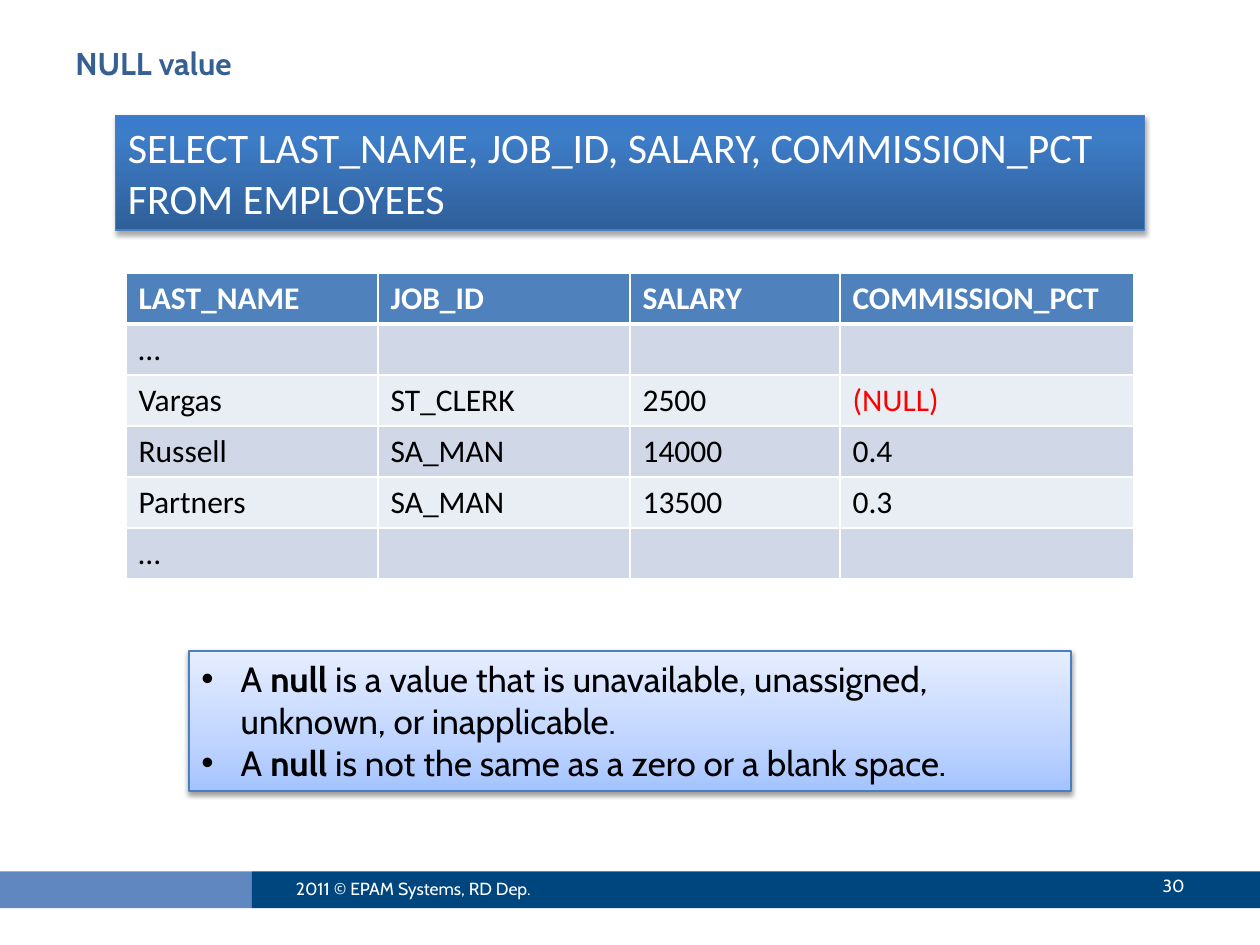
from copy import deepcopy
from lxml.etree import SubElement
from pptx import Presentation
from pptx.dml.color import RGBColor
from pptx.enum.shapes import MSO_SHAPE
from pptx.enum.text import MSO_ANCHOR, PP_ALIGN
from pptx.oxml.ns import qn
from pptx.util import Pt

WHITE = RGBColor(255, 255, 255)
BLACK = RGBColor(0, 0, 0)
RED = RGBColor(255, 0, 0)
TITLE = RGBColor(0x37, 0x60, 0x92)
LIGHT_BAR = RGBColor(0x60, 0x87, 0xBF)
DARK_BAR = RGBColor(0x00, 0x46, 0x7E)
HEADER = RGBColor(0x4F, 0x81, 0xBD)
BANDS = (RGBColor(0xD0, 0xD8, 0xE8), RGBColor(0xE9, 0xED, 0xF4))
OUTLINE = RGBColor(0x4B, 0x7E, 0xBC)
QUERY_STOPS = ((0, RGBColor(0x2F, 0x5F, 0x99)), (0.8, RGBColor(0x3D, 0x7C, 0xC7)),
               (1, RGBColor(0x3A, 0x7C, 0xCB)))
NOTE_STOPS = ((0, RGBColor(0xA4, 0xC4, 0xFF)), (0.35, RGBColor(0xBF, 0xD4, 0xFF)),
              (1, RGBColor(0xE6, 0xEE, 0xFF)))

QUERY = "SELECT LAST_NAME, JOB_ID, SALARY, COMMISSION_PCT FROM EMPLOYEES"
ROWS = (
    ("LAST_NAME", "JOB_ID", "SALARY", "COMMISSION_PCT"),
    ("…", "", "", ""),
    ("Vargas", "ST_CLERK", "2500", "(NULL)"),
    ("Russell", "SA_MAN", "14000", "0.4"),
    ("Partners", "SA_MAN", "13500", "0.3"),
    ("…", "", "", ""),
)
NOTES = (
    ("A ", "null", " is a value that is unavailable, unassigned, unknown, or inapplicable."),
    ("A ", "null", " is not the same as a zero or a blank space."),
)


def style(r, size, color, name="Cabin", bold=False):
    """Set the font of one run."""
    r.font.name, r.font.size, r.font.bold = name, Pt(size), bold
    r.font.color.rgb = color


def add_label(s, x, y, w, h, text, size, color, bold=False,
              anchor=MSO_ANCHOR.MIDDLE, align=PP_ALIGN.LEFT):
    """Place a one-line text box."""
    tf = s.shapes.add_textbox(Pt(x), Pt(y), Pt(w), Pt(h)).text_frame
    tf.word_wrap = True
    tf.vertical_anchor = anchor
    tf.text = text
    p = tf.paragraphs[0]
    p.alignment = align
    style(p.runs[0], size, color, bold=bold)


def add_bar(s, x, y, w, h, color):
    """Place a plain filled rectangle."""
    sp = s.shapes.add_shape(MSO_SHAPE.RECTANGLE, Pt(x), Pt(y), Pt(w), Pt(h))
    sp.shadow.inherit = False
    sp.fill.solid()
    sp.fill.fore_color.rgb = color
    sp.line.fill.background()


def add_panel(s, x, y, w, h, stops, opacity):
    """Place a gradient box with a soft shadow and return its text frame."""
    sp = s.shapes.add_shape(MSO_SHAPE.RECTANGLE, Pt(x), Pt(y), Pt(w), Pt(h))
    sp.fill.gradient()
    sp.fill.gradient_angle = 90
    stop_list = sp.element.spPr.find(".//" + qn("a:gsLst"))
    stop_list.append(deepcopy(stop_list[-1]))
    for stop, (position, color) in zip(sp.fill.gradient_stops, stops):
        stop.position = position
        stop.color.rgb = color
    sp.line.color.rgb = OUTLINE
    sp.line.width = Pt(0.75)
    sp.shadow.inherit = False
    shadow = SubElement(sp.element.spPr.find(qn("a:effectLst")), qn("a:outerShdw"),
                        blurRad=str(Pt(3.1)), dist=str(Pt(1.7)), dir="5400000", rotWithShape="0")
    color = SubElement(shadow, qn("a:srgbClr"), val="000000")
    SubElement(color, qn("a:alpha"), val=str(opacity * 1000))
    tf = sp.text_frame
    tf.word_wrap = True
    tf.vertical_anchor = MSO_ANCHOR.TOP
    return tf


def add_query(s, x, y, w, h):
    """Place the query box."""
    tf = add_panel(s, x, y, w, h, QUERY_STOPS, 35)
    tf.text = QUERY
    p = tf.paragraphs[0]
    p.alignment = PP_ALIGN.LEFT
    style(p.runs[0], 24, WHITE, "Calibri")


def set_borders(cell, top, bottom):
    """Draw white borders round a table cell."""
    tc_pr = cell._tc.get_or_add_tcPr()
    for side, width in (("L", 1), ("R", 1), ("T", top), ("B", bottom)):
        ln = SubElement(tc_pr, qn("a:ln" + side), w=str(Pt(width)))
        fill = SubElement(ln, qn("a:solidFill"))
        SubElement(fill, qn("a:srgbClr"), val=str(WHITE))


def add_result(s, x, y, w, h):
    """Place the query result table."""
    table = s.shapes.add_table(len(ROWS), len(ROWS[0]), Pt(x), Pt(y), Pt(w), Pt(h)).table
    for column, share in zip(table.columns, (6, 6, 5, 7)):
        column.width = Pt(w * share / 24)
    for i, row in enumerate(ROWS):
        header = i == 0
        for j, text in enumerate(row):
            cell = table.cell(i, j)
            set_borders(cell, 3 if i == 1 else 1, 3 if header else 1)
            cell.fill.solid()
            cell.fill.fore_color.rgb = HEADER if header else BANDS[(i - 1) % 2]
            cell.text = text
            color = WHITE if header else RED if text == "(NULL)" else BLACK
            for r in cell.text_frame.paragraphs[0].runs:
                style(r, 18, color, "Calibri", header)


def add_notes(s, x, y, w, h):
    """Place the bulleted notes box."""
    tf = add_panel(s, x, y, w, h, NOTE_STOPS, 38)
    for i, parts in enumerate(NOTES):
        p = tf.add_paragraph() if i else tf.paragraphs[0]
        p.alignment = PP_ALIGN.LEFT
        p_pr = p._p.get_or_add_pPr()
        p_pr.set("marL", str(Pt(22.5)))
        p_pr.set("indent", str(Pt(-22.5)))
        SubElement(p_pr, qn("a:buFont"), typeface="Arial")
        SubElement(p_pr, qn("a:buChar"), char="•")
        for text in parts:
            r = p.add_run()
            r.text = text
            style(r, 20, BLACK, bold=text == "null")


def add_footer(s, x, y, w, h):
    """Place the footer bars, copyright line and slide number."""
    add_bar(s, x, y, 0.2 * w, h, LIGHT_BAR)
    add_bar(s, x + 0.2 * w, y, 0.8 * w, h, DARK_BAR)
    add_label(s, x + 162, y - 5, 192, 29, "2011 © EPAM Systems, RD Dep.", 10, WHITE)
    add_label(s, x + 606, y - 6.5, 78, 29, "30", 10, WHITE, align=PP_ALIGN.RIGHT)


def main():
    """Build and save the slide."""
    prs = Presentation()
    prs.slide_width, prs.slide_height = Pt(720), Pt(540)
    s = prs.slides.add_slide(prs.slide_layouts[6])
    add_footer(s, 0, 498, 720, 21)
    add_label(s, 36, 21.6, 648, 56, "NULL value", 18, TITLE, True, MSO_ANCHOR.TOP)
    add_result(s, 72, 156, 576, 175)
    add_query(s, 66, 66, 588, 65.5)
    add_notes(s, 108, 372, 504, 80)
    prs.save("out.pptx")


if __name__ == "__main__":
    main()
